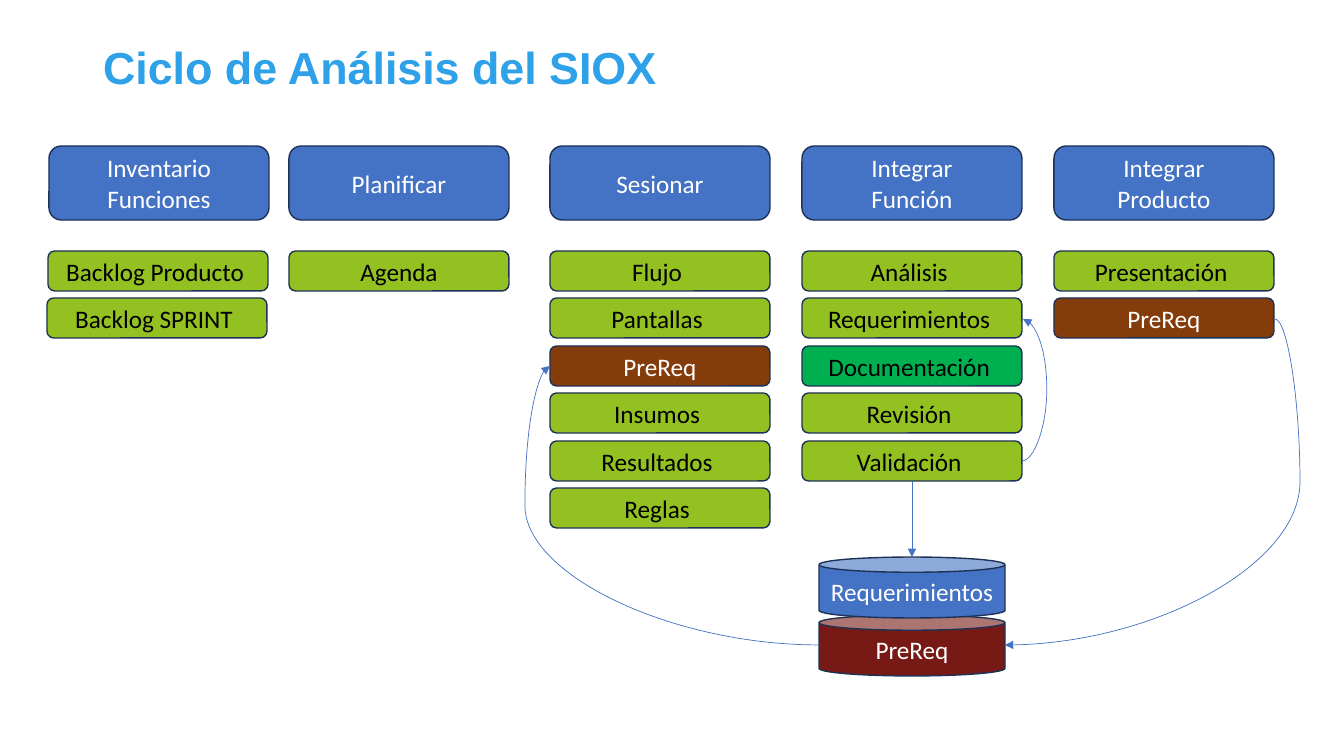
from lxml import etree
from pptx import Presentation
from pptx.dml.color import RGBColor
from pptx.enum.shapes import MSO_CONNECTOR, MSO_SHAPE
from pptx.enum.text import MSO_ANCHOR, MSO_AUTO_SIZE, PP_ALIGN
from pptx.oxml.ns import qn
from pptx.util import Pt

ROUNDED, CAN = MSO_SHAPE.ROUNDED_RECTANGLE, MSO_SHAPE.CAN
STRAIGHT, CURVE = MSO_CONNECTOR.STRAIGHT, MSO_CONNECTOR.CURVE
CENTER, LEFT = PP_ALIGN.CENTER, PP_ALIGN.LEFT
MIDDLE = MSO_ANCHOR.MIDDLE
PX = 914400 / 100.8

COLORS = {
    "title": "2EA1E8", "blue": "4472C4", "lime": "94C122", "green": "00B050",
    "brown": "843C0B", "maroon": "771A15", "outline": "1E3256",
    "white": "FFFFFF", "black": "000000",
}


def add_box(kind, left, top, width, height, lines, fill, text_color):
    shape = slide.shapes.add_shape(kind, *[round(v * PX) for v in (left, top, width, height)])
    shape.shadow.inherit = False
    shape.fill.solid()
    shape.fill.fore_color.rgb = RGBColor.from_string(COLORS[fill])
    shape.line.color.rgb = RGBColor.from_string(COLORS["outline"])
    shape.line.width = Pt(1)
    frame = shape.text_frame
    frame.word_wrap = True
    frame.vertical_anchor = MIDDLE
    for index, text in enumerate(lines):
        paragraph = frame.add_paragraph() if index else frame.paragraphs[0]
        paragraph.alignment = CENTER
        run = paragraph.add_run()
        run.text = text
        run.font.name = "Calibri"
        run.font.size = Pt(18)
        run.font.color.rgb = RGBColor.from_string(COLORS[text_color])
    return shape


def add_arrow(kind, start, end, bend=None):
    connector = slide.shapes.add_connector(kind, *[round(v * PX) for v in (*start, *end)])
    connector.line.color.rgb = RGBColor.from_string(COLORS["blue"])
    connector.line.width = Pt(0.5)
    properties = connector.element.spPr
    etree.SubElement(properties.find(qn("a:ln")), qn("a:tailEnd"), type="triangle")
    etree.SubElement(properties, qn("a:effectLst"))
    if bend is not None:
        # Bend position as a share of the run from start to end
        share = round((bend - start[0]) / (end[0] - start[0]) * 100000)
        guides = properties.find(qn("a:prstGeom")).find(qn("a:avLst"))
        etree.SubElement(guides, qn("a:gd"), name="adj1", fmla=f"val {share}")
    return connector


presentation = Presentation()
presentation.slide_width = round(1344 * PX)
presentation.slide_height = round(756 * PX)
slide = presentation.slides.add_slide(presentation.slide_layouts[5])

# Title
title = slide.shapes.title
title.left, title.top, title.width, title.height = [round(v * PX) for v in (93, 38, 992, 64)]
title.text_frame.auto_size = MSO_AUTO_SIZE.NONE
title.text_frame.vertical_anchor = MIDDLE
paragraph = title.text_frame.paragraphs[0]
paragraph.alignment = LEFT
paragraph.line_spacing = 0.9
run = paragraph.add_run()
run.text = "Ciclo de Análisis del SIOX"
run.font.name = "Arial"
run.font.size = Pt(32)
run.font.bold = True
run.font.color.rgb = RGBColor.from_string(COLORS["title"])

# Phases: left, shift of each further row, heading lines, steps
PHASES = [
    (49, -1, ["Inventario", "Funciones"], ["Backlog Producto ", "Backlog SPRINT "]),
    (289, 0, ["Planificar"], ["Agenda"]),
    (550, 0, ["Sesionar"],
     ["Flujo ", "Pantallas ", "PreReq", "Insumos ", "Resultados ", "Reglas "]),
    (802, 0, ["Integrar", "Función"],
     ["Análisis ", "Requerimientos ", "Documentación ", "Revisión ", "Validación "]),
    (1054, 0, ["Integrar", "Producto"], ["Presentación ", "PreReq"]),
]
STEP_STYLES = {"PreReq": ("brown", "white"), "Documentación ": ("green", "black")}
BOX_WIDTH, HEADING_TOP, HEADING_HEIGHT = 220, 146, 74
STEP_TOP, STEP_PITCH, STEP_HEIGHT = 251, 47.4, 40

step_boxes = {}
for left, shift, heading, steps in PHASES:
    add_box(ROUNDED, left, HEADING_TOP, BOX_WIDTH, HEADING_HEIGHT, heading, "blue", "white")
    for row, step in enumerate(steps):
        fill, text_color = STEP_STYLES.get(step, ("lime", "black"))
        step_boxes[step] = add_box(
            ROUNDED, left + shift * (row + 1), STEP_TOP + round(row * STEP_PITCH),
            BOX_WIDTH, STEP_HEIGHT, [step], fill, text_color)

# Stores
for top, name, fill in [(615, "PreReq", "maroon"), (557, "Requerimientos", "blue")]:
    add_box(CAN, 819, top, 186, 61, [name], fill, "white")

# Flows
add_arrow(CURVE, (1022, 461), (1023, 319), bend=1047)
add_arrow(CURVE, (819, 645), (550, 366), bend=525)
add_arrow(CURVE, (1275, 319), (1005, 645), bend=1300)
to_store = add_arrow(STRAIGHT, (912, 481), (912, 557))
to_store.begin_connect(step_boxes["Validación "], 2)

presentation.save("out.pptx")
